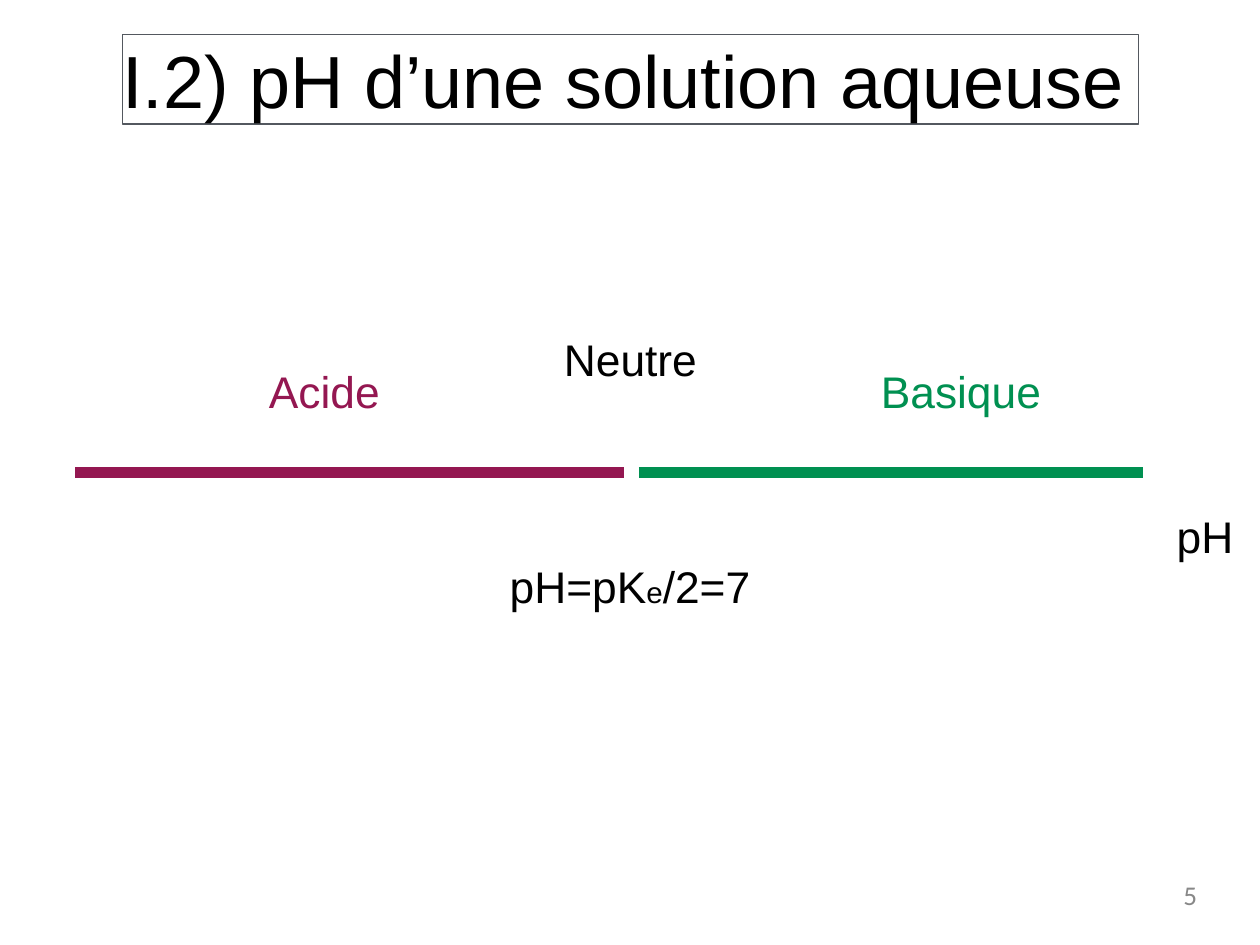
from pptx import Presentation
from pptx.dml.color import RGBColor
from pptx.enum.shapes import MSO_CONNECTOR
from pptx.enum.text import MSO_ANCHOR, MSO_AUTO_SIZE, PP_ALIGN
from pptx.oxml.ns import qn
from pptx.util import Inches, Pt
from lxml.etree import SubElement

BLACK = "000000"
ACID = "941751"
BASE = "009051"
BORDER = "53585F"
GREY = "888888"


def color(value):
    """Turn a hex string into a colour."""
    return RGBColor.from_string(value)


def write(shape, spans, hue, font="Arial", align=PP_ALIGN.CENTER,
          anchor=MSO_ANCHOR.MIDDLE, wrap=False):
    """Fill a shape with one paragraph of (text, size) spans."""
    frame = shape.text_frame
    frame.word_wrap = wrap
    frame.auto_size = MSO_AUTO_SIZE.NONE
    frame.vertical_anchor = anchor
    frame.margin_left = frame.margin_right = 0
    frame.margin_top = frame.margin_bottom = 0
    para = frame.paragraphs[0]
    para.alignment = align
    for text, size in spans:
        span = para.add_run()
        span.text = text
        span.font.size = Pt(size)
        span.font.name = font
        span.font.color.rgb = color(hue)


def add_label(slide, box, spans, hue, **style):
    """Add a text box at the given left, top, width and height."""
    label = slide.shapes.add_textbox(*map(Inches, box))
    write(label, spans, hue, **style)


def add_bar(slide, start, end, level, hue):
    """Draw one thick horizontal section of the pH axis."""
    bar = slide.shapes.add_connector(
        MSO_CONNECTOR.STRAIGHT, Inches(start), Inches(level), Inches(end), Inches(level))
    bar.line.color.rgb = color(hue)
    bar.line.width = Pt(9)
    SubElement(bar._element.spPr, qn("a:effectLst"))


def add_title(slide, box, text):
    """Place the framed title."""
    title = slide.shapes.title
    title.left, title.top, title.width, title.height = map(Inches, box)
    title.line.color.rgb = color(BORDER)
    title.line.width = Pt(1)
    write(title, [(text, 60)], BLACK, align=PP_ALIGN.LEFT)


def add_ph_axis(slide, box):
    """Draw the acid and basic sections of the axis with their labels."""
    left, top, width, height = box
    label_height = 0.71
    level = top + height / 2
    add_bar(slide, left, left + 6.19, level, ACID)
    add_bar(slide, left + 6.36, left + 12.05, level, BASE)
    formula = [("pH=pK", 36), ("e", 24), ("/2=7", 36)]
    labels = [
        (2.12, 0.36, 1.38, [("Acide", 36)], ACID),
        (5.45, 0, 1.63, [("Neutre", 36)], BLACK),
        (9.03, 0.36, 1.93, [("Basique", 36)], BASE),
        (width - 0.76, 1.99, 0.76, [("pH", 36)], BLACK),
        (4.84, height - label_height, 2.84, formula, BLACK),
    ]
    for across, down, label_width, spans, hue in labels:
        add_label(slide, (left + across, top + down, label_width, label_height), spans, hue)


def add_page_number(slide, box, number):
    """Write the page number in the lower right corner."""
    add_label(slide, box, [(number, 22)], GREY, font="Calibri",
              align=PP_ALIGN.RIGHT, anchor=MSO_ANCHOR.TOP, wrap=True)


def main():
    """Build and save the slide."""
    deck = Presentation()
    deck.slide_width = Inches(14.22)
    deck.slide_height = Inches(10.67)
    page = deck.slides.add_slide(deck.slide_layouts.get_by_name("Title Only"))
    add_title(page, (1.38, 0.39, 11.47, 1.01), "I.2) pH d’une solution aqueuse")
    add_page_number(page, (10.24, 9.92, 3.27, 0.36), "5")
    add_ph_axis(page, (0.85, 3.7, 13.13, 3.27))
    deck.save("out.pptx")


if __name__ == "__main__":
    main()
